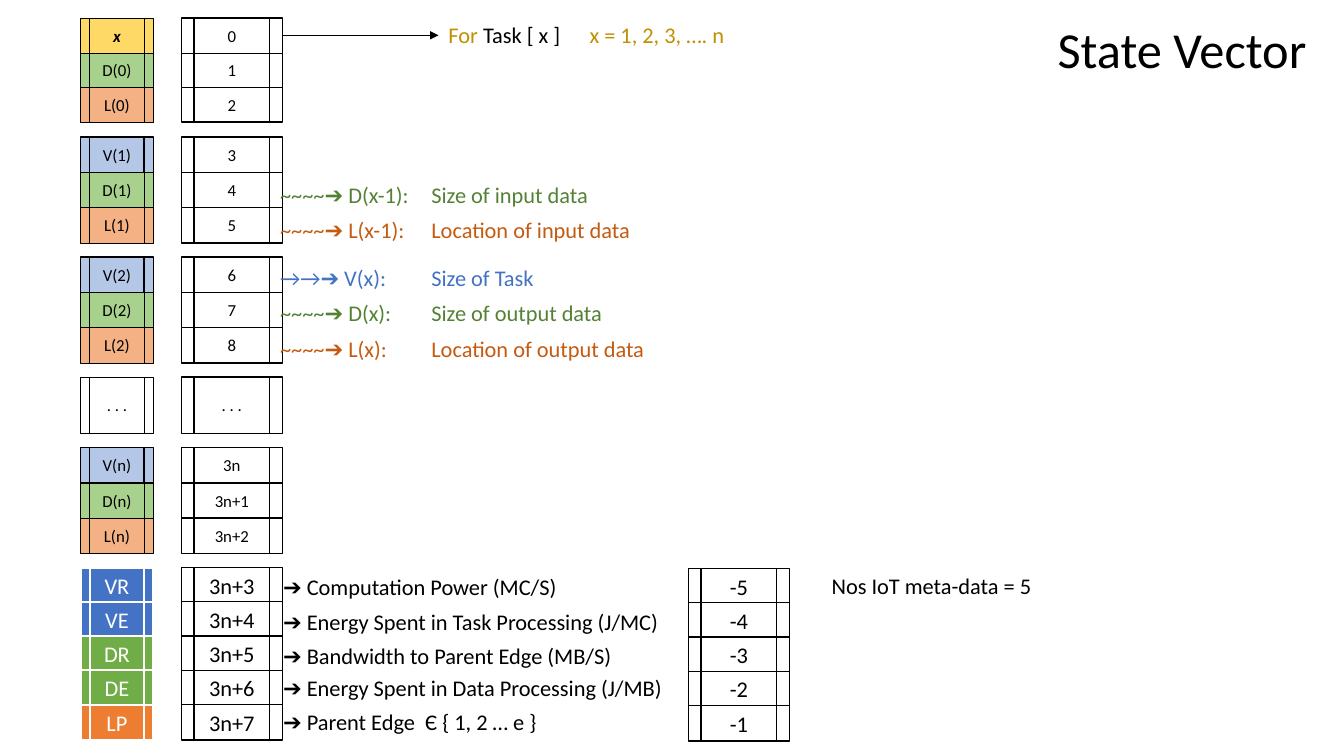
from lxml.etree import SubElement
from pptx import Presentation
from pptx.dml.color import RGBColor
from pptx.enum.shapes import MSO_CONNECTOR, MSO_SHAPE
from pptx.enum.text import MSO_ANCHOR, MSO_AUTO_SIZE, PP_ALIGN
from pptx.oxml.ns import qn
from pptx.util import Inches, Pt

COLORS = {
    "black": "000000", "white": "FFFFFF", "yellow": "FFD966", "gold": "BF9000",
    "light blue": "B4C7E7", "light green": "A9D18E", "light orange": "F4B183",
    "blue": "4472C4", "green": "70AD47", "orange": "ED7D31",
    "dark green": "548235", "dark orange": "C55A11",
}
FIELD_FILLS = {"x": "yellow", "V": "light blue", "D": "light green",
               "L": "light orange", ".": "white"}
EDGE_FILLS = {"V": "blue", "D": "green", "L": "orange"}


class SlideBuilder:
    font = "Calibri"

    def __init__(self, slide):
        self.shapes = slide.shapes

    def color(self, name):
        return RGBColor.from_string(COLORS[name])

    def format_run(self, run, size, color):
        run.font.name = self.font
        run.font.size = Pt(size)
        run.font.color.rgb = self.color(color)

    def cell(self, left, top, width, height, text, fill="white",
             line="black", weight=1, size=12, color="black"):
        box = self.shapes.add_shape(MSO_SHAPE.FLOWCHART_PREDEFINED_PROCESS,
                                    Inches(left), Inches(top), Inches(width), Inches(height))
        box.shadow.inherit = False
        box.fill.solid()
        box.fill.fore_color.rgb = self.color(fill)
        box.line.color.rgb = self.color(line)
        box.line.width = Pt(weight)
        box.text_frame.text = text
        box.text_frame.vertical_anchor = MSO_ANCHOR.MIDDLE
        para = box.text_frame.paragraphs[0]
        para.alignment = PP_ALIGN.CENTER
        run = para.runs[0]
        self.format_run(run, size, color)
        if text == "x":
            run.font.bold = run.font.italic = True

    def text(self, left, top, width, spans, size=16, height=0.37, wrap=True, tab=None):
        box = self.shapes.add_textbox(Inches(left), Inches(top), Inches(width), Inches(height))
        frame = box.text_frame
        frame.word_wrap = wrap
        frame.auto_size = MSO_AUTO_SIZE.SHAPE_TO_FIT_TEXT
        para = frame.paragraphs[0]
        for words, color in spans:
            span = para.add_run()
            span.text = words
            self.format_run(span, size, color)
        if tab:
            stops = SubElement(para._p.get_or_add_pPr(), qn("a:tabLst"))
            SubElement(stops, qn("a:tab"), pos=str(Inches(tab)), algn="l")

    def arrow(self, left, right, top):
        arrow = self.shapes.add_connector(MSO_CONNECTOR.STRAIGHT, Inches(left), Inches(top),
                                          Inches(right), Inches(top))
        arrow.line.color.rgb = self.color("black")
        arrow.line.width = Pt(0.5)
        SubElement(arrow.line._get_or_add_ln(), qn("a:tailEnd"), type="triangle")
        SubElement(arrow._element.spPr, qn("a:effectLst"))


deck = Presentation()
deck.slide_width = Inches(13.33)
deck.slide_height = Inches(7.5)
page = SlideBuilder(deck.slides.add_slide(deck.slide_layouts[6]))

FIELD_LEFT, FIELD_WIDTH = 0.8, 0.72
INDEX_LEFT, INDEX_WIDTH = 1.8, 1
ROW_HEIGHT = 0.35

task_groups = [
    (0.18, 0.34, 0.35, ["x", "D(0)", "L(0)"], ["0", "1", "2"]),
    (1.36, 0.35, 0.35, ["V(1)", "D(1)", "L(1)"], ["3", "4", "5"]),
    (2.55, 0.35, 0.35, ["V(2)", "D(2)", "L(2)"], ["6", "7", "8"]),
    (3.74, 0.56, 0.56, [". . ."], [". . ."]),
    (4.44, 0.35, 0.35, ["V(n)", "D(n)", "L(n)"], ["3n", "3n+1", "3n+2"]),
]
for group_top, pitch, height, fields, indexes in task_groups:
    for row in reversed(range(len(fields))):
        top = group_top + row * pitch
        field = fields[row]
        page.cell(FIELD_LEFT, top, FIELD_WIDTH, height, field, FIELD_FILLS[field[0]],
                  weight=1 if field[0] == "V" else 0.5)
        page.cell(INDEX_LEFT, top, INDEX_WIDTH, height, indexes[row])

edge_rows = [
    ("VR", "Computation Power (MC/S)"),
    ("VE", "Energy Spent in Task Processing (J/MC)"),
    ("DR", "Bandwidth to Parent Edge (MB/S)"),
    ("DE", "Energy Spent in Data Processing (J/MB)"),
    ("LP", "Parent Edge  Є { 1, 2 … e }"),
]
meaning_tops = [5.64, 5.98, 6.32, 6.64, 6.98]
for row, (field, meaning) in enumerate(edge_rows):
    top = 5.63 + row * 0.34
    page.cell(FIELD_LEFT, top, FIELD_WIDTH, ROW_HEIGHT, field, EDGE_FILLS[field[0]],
              line="white", weight=1.5, size=16, color="white")
    page.cell(INDEX_LEFT, top, INDEX_WIDTH, ROW_HEIGHT, f"3n+{row + 3}", size=16)
    page.cell(6.83, top + 0.01, INDEX_WIDTH, ROW_HEIGHT, str(row - 5), size=16)
    page.text(2.71, meaning_tops[row], 4.29, [("➔ " + meaning, "black")])

task_notes = [
    (1.75, "~~~~➔ D(x-1):\tSize of input data", "dark green"),
    (2.1, "~~~~➔ L(x-1):\tLocation of input data", "dark orange"),
    (2.57, "→→➔ V(x):\tSize of Task", "blue"),
    (2.92, "~~~~➔ D(x):\tSize of output data", "dark green"),
    (3.28, "~~~~➔ L(x):\tLocation of output data", "dark orange"),
]
for top, note, color in task_notes:
    page.text(2.68, top, 5.72, [(note, color)])

page.arrow(INDEX_LEFT + INDEX_WIDTH, 4.35, 0.35)
page.text(4.35, 0.16, 3.64, [("For ", "gold"), ("Task [ x ]\t", "black"),
                             ("x = 1, 2, 3, …. n", "gold")], tab=1.4)
page.text(8.15, 5.63, 2.23, [("Nos IoT meta-data = 5", "black")])
page.text(10.39, 0.13, 2.69, [("State Vector", "black")], size=36, height=0.71, wrap=False)

deck.save("out.pptx")
